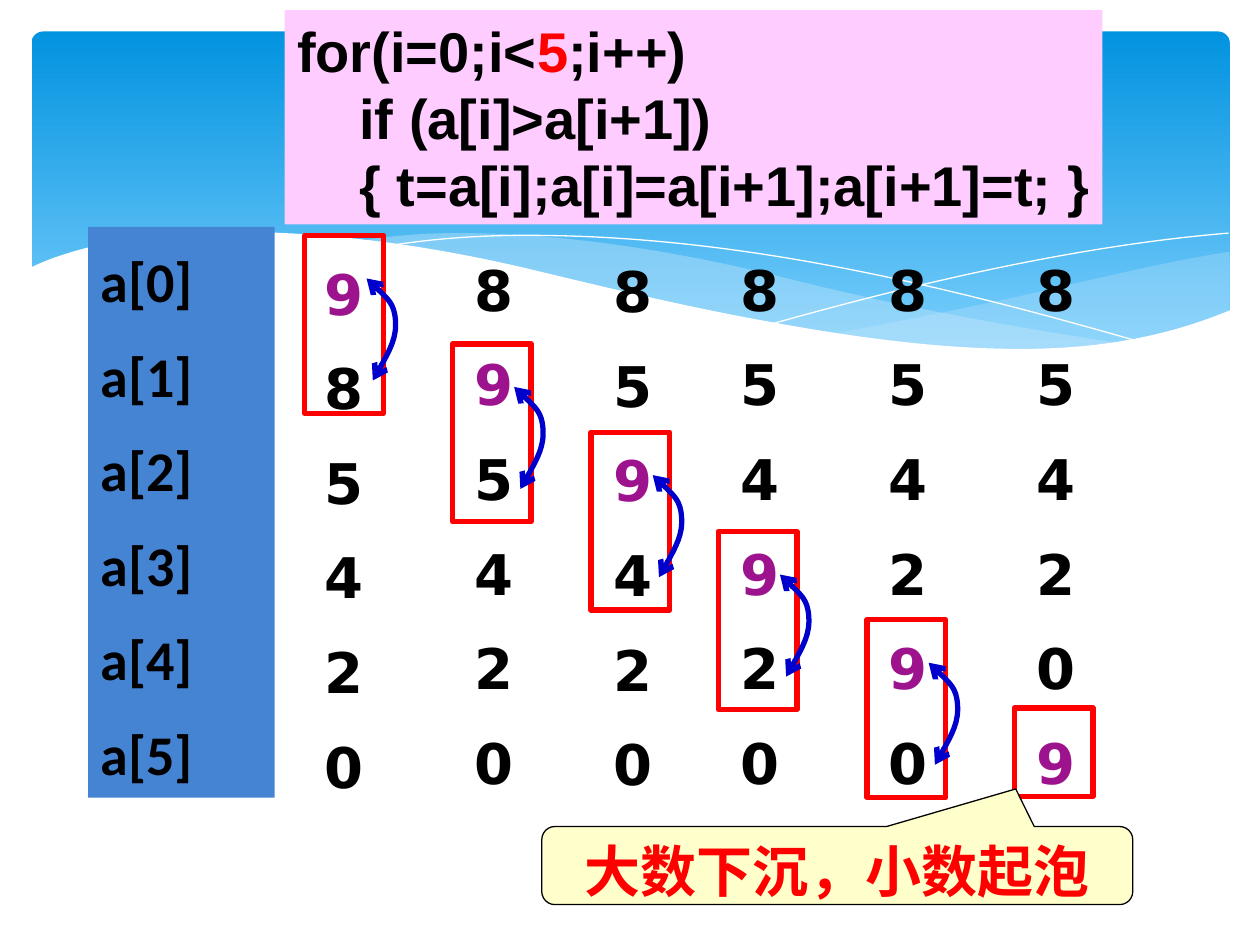
"""Build the slide that traces one bubble sort pass over six numbers."""
from lxml import etree
from pptx import Presentation
from pptx.dml.color import RGBColor
from pptx.enum.shapes import MSO_SHAPE
from pptx.enum.text import MSO_ANCHOR, PP_ALIGN
from pptx.oxml.ns import qn
from pptx.util import Pt

ROUNDED = MSO_SHAPE.ROUNDED_RECTANGLE
RECTANGLE = MSO_SHAPE.RECTANGLE
PROCESS = MSO_SHAPE.FLOWCHART_PROCESS
CALLOUT = MSO_SHAPE.ROUNDED_RECTANGULAR_CALLOUT
TOP = MSO_ANCHOR.TOP
LEFT, CENTER = PP_ALIGN.LEFT, PP_ALIGN.CENTER

BLACK = RGBColor(0x00, 0x00, 0x00)
WHITE = RGBColor(0xFF, 0xFF, 0xFF)
RED = RGBColor(0xFF, 0x00, 0x00)
PURPLE = RGBColor(0x9D, 0x13, 0x8D)
ARROW_BLUE = RGBColor(0x00, 0x00, 0xCC)
LABEL_BLUE = RGBColor(0x45, 0x84, 0xD3)
SKY_DARK = RGBColor(0x02, 0x93, 0xE0)
SKY_LIGHT = RGBColor(0x83, 0xD3, 0xFE)
WAVE_BLUE = RGBColor(0xC6, 0xE7, 0xFC)
PINK = RGBColor(0xFF, 0xCC, 0xFF)
CREAM = RGBColor(0xFF, 0xFF, 0xCC)

START_VALUES = [9, 8, 5, 4, 2, 0]
COLUMNS = [
    (178.6, 136.8, 174.2, 134.6),
    (264.2, 134.6, 258.5, 196.6),
    (343.4, 135.4, 337.7, 247),
    (416.2, 134.6, 410.4, 303.8),
    (500.4, 134.6, 495.4, 354.2),
    (585.4, 134.6, 579.6, 404.6),
]
SWAP_CURVE = [(38.9, 82.8), (46, 70.6), (52.6, 58.3), (51.8, 48.2),
              (51.1, 38.9), (43.2, 31.7), (35.3, 24.5)]

RIGHT_WAVE = [(702, 144), (672, 148.5), (636, 157), (599, 165.6),
              (558, 175), (517, 183), (476, 190.8),
              (512, 196.5), (546, 200), (578, 200),
              (632, 200), (668, 192), (702.7, 177.8)]
LONG_WAVE = [(643, 196.6), (580, 187), (515, 175.5), (452.9, 159.8),
             (380, 141.5), (316, 133), (260, 133.2),
             (240, 133.2), (222, 135), (206, 137.5),
             (244, 142.5), (284, 150), (323.3, 159.8),
             (404, 180), (497, 200.5), (581, 200.9),
             (602, 200.9), (623, 199.5), (643, 196.6)]
FALLING_LINE = [(222.5, 140.4), (250, 136), (280, 134), (311.8, 134.6),
                (430, 136), (546, 165), (653, 195.8)]
RISING_LINE = [(441.4, 185), (530, 160), (620, 140), (702, 133.2)]
WHITE_EDGE = [(703.4, 177.1), (670, 191), (632, 199.5), (582.5, 199.4),
              (535, 199.4), (484, 192.2), (434.2, 182.9),
              (390, 174.8), (345, 164), (301, 153.4),
              (244, 140), (186, 132), (126.7, 132.5),
              (82, 132.5), (40, 141.5), (16.6, 153.4)]


class SlideWriter:
    """Holds the text style and the current slide."""

    def __init__(self, page, size=32):
        self.page = page
        self.size = Pt(size)

    def paint(self, item, fill=None, line=None, weight=0):
        item.shadow.inherit = False
        if fill is None:
            item.fill.background()
        else:
            item.fill.solid()
            item.fill.fore_color.rgb = fill
        if line is None:
            item.line.fill.background()
        else:
            item.line.color.rgb = line
            item.line.width = Pt(weight)

    def shape(self, kind, left, top, width, height, adjustments=(), **paint):
        box = self.page.shapes.add_shape(kind, Pt(left), Pt(top), Pt(width), Pt(height))
        for index, value in enumerate(adjustments):
            box.adjustments[index] = value
        self.paint(box, **paint)
        return box

    def gradient(self, box, first, last):
        box.fill.gradient()
        box.fill.gradient_angle = 270
        for stop, color in zip(box.fill.gradient_stops, (first, last)):
            stop.color.rgb = color

    def curve(self, points, corners=(), closed=False, alpha=None, arrows=False, **paint):
        """Draw chained cubic curves, then straight lines to the corners."""
        start, *rest = [(Pt(x), Pt(y)) for x, y in [*points, *corners]]
        builder = self.page.shapes.build_freeform(*start)
        builder.add_line_segments(rest, close=closed)
        item = builder.convert_to_shape()
        lines = list(item.element.iter(qn("a:lnTo")))[:len(points) - 1]
        for index in range(0, len(lines), 3):
            cubic = etree.Element(qn("a:cubicBezTo"))
            lines[index].addprevious(cubic)
            for line in lines[index:index + 3]:
                cubic.append(line[0])
                line.getparent().remove(line)
        self.paint(item, **paint)
        if alpha is not None:
            color = next(item.element.spPr.iter(qn("a:srgbClr")))
            etree.SubElement(color, qn("a:alpha"), val=str(alpha * 1000))
        if arrows:
            outline = item.element.spPr.find(qn("a:ln"))
            for end in ("a:headEnd", "a:tailEnd"):
                etree.SubElement(outline, qn(end), type="arrow")

    def textbox(self, left, top, width, height):
        return self.page.shapes.add_textbox(Pt(left), Pt(top), Pt(width), Pt(height))

    def text(self, box, lines, font, align=LEFT, spacing=None, before=0, wrap=True):
        """Write lines of (indent, spans), each span a text and its colour."""
        frame = box.text_frame
        frame.word_wrap = wrap
        frame.vertical_anchor = TOP
        for index, (indent, spans) in enumerate(lines):
            para = frame.paragraphs[0] if index == 0 else frame.add_paragraph()
            para.alignment = align
            para.space_before = Pt(before)
            if spacing:
                para.line_spacing = spacing
            if indent:
                para._p.get_or_add_pPr().set("marL", str(Pt(indent)))
            para.font.name, para.font.size, para.font.bold = font, self.size, True
            for words, color in spans:
                span = para.add_run()
                span.text = words
                span.font.color.rgb = color

    def number_list(self, box, entries, font):
        self.text(box, [(0, [entry]) for entry in entries], font, spacing=1.2, before=8)


def draw_background(writer):
    sky = writer.shape(ROUNDED, 18, 18, 684.7, 194.4, [0.034])
    writer.gradient(sky, SKY_DARK, SKY_LIGHT)
    writer.curve(RIGHT_WAVE, [(702.7, 144)], closed=True, fill=WAVE_BLUE, alpha=29)
    writer.curve(LONG_WAVE, closed=True, fill=WAVE_BLUE, alpha=40)
    for line in (FALLING_LINE, RISING_LINE):
        writer.curve(line, line=WHITE)
    writer.curve(WHITE_EDGE, [(16.6, 237), (703.4, 237)], closed=True, fill=WHITE)


def draw_sort_pass(writer):
    values = list(START_VALUES)
    last = len(values) - 1
    for step, (left, top, frame_left, frame_top) in enumerate(COLUMNS):
        entries = [(str(value), PURPLE if row == step else BLACK)
                   for row, value in enumerate(values)]
        writer.number_list(writer.textbox(left, top, 56.2, 326.2), entries, "DejaVu Sans")
        height = 101.5 if step < last else 50.4
        writer.shape(PROCESS, frame_left, frame_top, 45, height, line=RED, weight=3)
        if step < last:
            points = [(frame_left + x, frame_top + y) for x, y in SWAP_CURVE]
            writer.curve(points, arrows=True, line=ARROW_BLUE, weight=3)
            values[step], values[step + 1] = values[step + 1], values[step]


def main():
    deck = Presentation()
    deck.slide_width, deck.slide_height = Pt(720), Pt(540)
    writer = SlideWriter(deck.slides.add_slide(deck.slide_layouts[6]))
    draw_background(writer)
    draw_sort_pass(writer)

    callout = writer.shape(CALLOUT, 309.6, 472.3, 337.7, 44.6, [0.302, -0.982, 0.167],
                           fill=CREAM, line=BLACK, weight=0.75)
    writer.text(callout, [(0, [("大数下沉，小数起泡", RED)])], "Arial", align=CENTER)

    labels = writer.shape(RECTANGLE, 50.4, 129.6, 106.6, 326.2, fill=LABEL_BLUE)
    names = [(f"a[{index}]", BLACK) for index in range(len(START_VALUES))]
    writer.number_list(labels, names, "Calibri")

    code = writer.shape(RECTANGLE, 162.7, 5.8, 467.3, 122.4, fill=PINK)
    writer.text(code, [
        (0, [("for(i=0;i<", BLACK), ("5", RED), (";i++)", BLACK)]),
        (35.6, [("if (a[i]>a[i+1])", BLACK)]),
        (35.6, [("{ t=a[i];a[i]=a[i+1];a[i+1]=t; }", BLACK)]),
    ], "Arial", wrap=False)
    deck.save("out.pptx")


if __name__ == "__main__":
    main()
